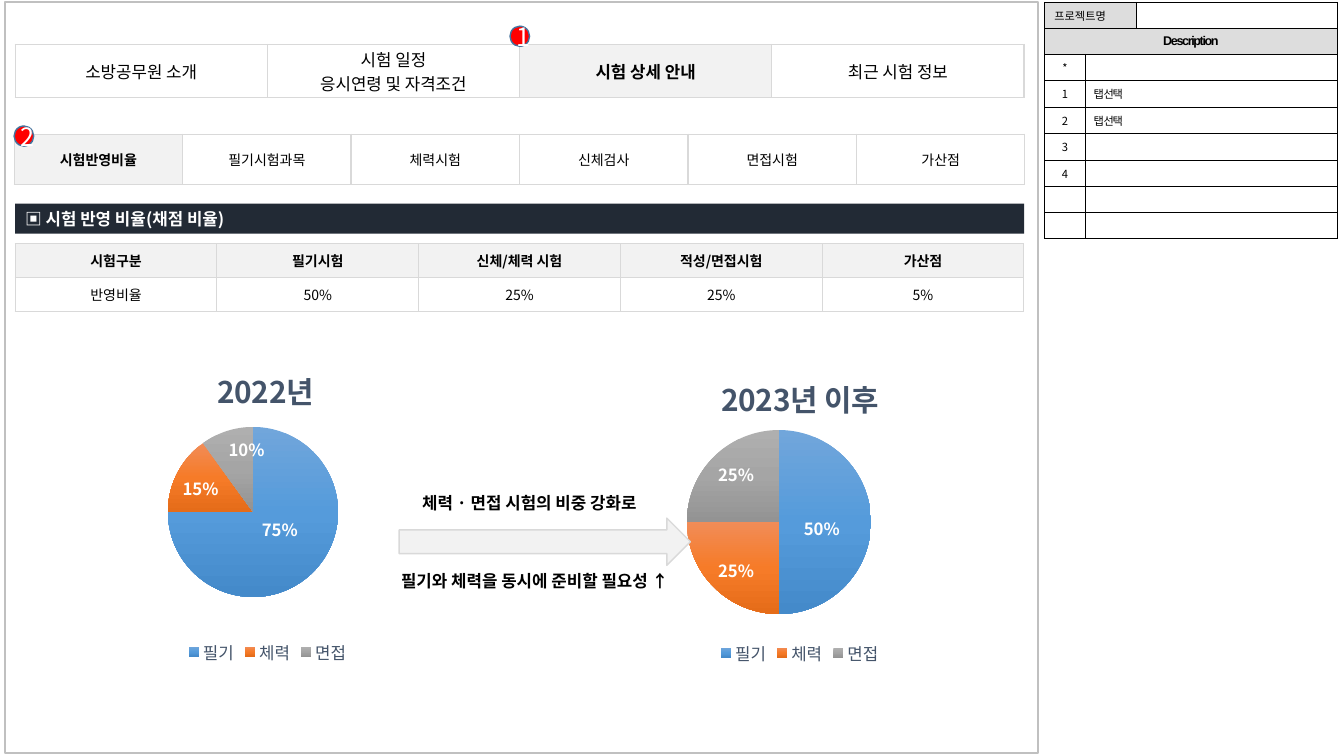
from copy import deepcopy

from lxml.etree import SubElement
from pptx import Presentation
from pptx.chart.data import CategoryChartData
from pptx.dml.color import RGBColor
from pptx.enum.chart import XL_CHART_TYPE, XL_LABEL_POSITION, XL_LEGEND_POSITION
from pptx.enum.shapes import MSO_SHAPE
from pptx.enum.text import MSO_ANCHOR, PP_ALIGN
from pptx.oxml import parse_xml
from pptx.oxml.ns import nsdecls, qn
from pptx.util import Pt

FONT = "Noto Sans CJK KR"
COLORS = {
    "black": "000000", "white": "FFFFFF", "frame": "C0C0C0", "header": "DDDDDD",
    "selected": "F2F2F2", "border": "D9D9D9", "bar": "222A35", "badge": "FF0000",
    "badge_line": "43739E", "chart_text": "44546A",
}
GRADIENTS = [
    ("71A6DB", "559BDB", "448ACA"),
    ("F18C57", "F67B28", "E56C19"),
    ("AFAFAF", "A5A5A5", "939393"),
]


def rgb(name):
    return RGBColor.from_string(COLORS[name])


def format_font(font, size, color="black", bold=False, name=FONT):
    font.size = Pt(size)
    font.bold = bold
    font.name = name
    font.color.rgb = rgb(color)


def write_text(text_frame, text, size=12, color="black", bold=False, name=FONT,
               align=PP_ALIGN.LEFT, spacing=0):
    for index, line in enumerate(text.split("\n")):
        paragraph = text_frame.add_paragraph() if index else text_frame.paragraphs[0]
        paragraph.alignment = align
        run = paragraph.add_run()
        run.text = line
        format_font(run.font, size, color, bold, name)
        properties = run.font._element
        if spacing:
            properties.set("spc", str(spacing * 100))
        SubElement(properties, qn("a:ea")).set("typeface", FONT)


def set_fill(fill, color):
    if color:
        fill.solid()
        fill.fore_color.rgb = rgb(color)
    else:
        fill.background()


def add_box(slide, kind, box, fill=None, line=None, text=None, **text_format):
    shape = slide.shapes.add_shape(kind, *map(Pt, box))
    shape.shadow.inherit = False
    set_fill(shape.fill, fill)
    set_fill(shape.line.fill, line)
    if line:
        shape.line.width = Pt(1)
    if text:
        write_text(shape.text_frame, text, **text_format)


def add_caption(slide, box, text):
    text_frame = slide.shapes.add_textbox(*map(Pt, box)).text_frame
    text_frame.word_wrap = True
    write_text(text_frame, text, bold=True)


def add_badge(slide, left, top, number):
    add_box(slide, MSO_SHAPE.OVAL, (left, top, 14, 14.4), "badge", "badge_line",
            number, size=18, color="white", align=PP_ALIGN.CENTER)


def add_grid(slide, left, top, widths, heights, border, border_width):
    frame = slide.shapes.add_table(len(heights), len(widths), Pt(left), Pt(top),
                                   Pt(sum(widths)), Pt(sum(heights)))
    table = frame.table
    table.first_row = table.horz_banding = False
    for column, width in zip(table.columns, widths):
        column.width = Pt(width)
    for row, height in zip(table.rows, heights):
        row.height = Pt(height)
    for cell in table.iter_cells():
        properties = cell._tc.get_or_add_tcPr()
        for side in ("lnL", "lnR", "lnT", "lnB"):
            properties.append(parse_xml(
                f'<a:{side} {nsdecls("a")} w="{Pt(border_width)}"><a:solidFill>'
                f'<a:srgbClr val="{COLORS[border]}"/></a:solidFill></a:{side}>'))
    return table


def fill_cell(cell, text="", fill=None, margins=(7.2, 3.6), anchor=MSO_ANCHOR.MIDDLE,
              **text_format):
    set_fill(cell.fill, fill)
    cell.margin_left = cell.margin_right = Pt(margins[0])
    cell.margin_top = cell.margin_bottom = Pt(margins[1])
    cell.vertical_anchor = anchor
    if text:
        write_text(cell.text_frame, text, **text_format)
    else:
        paragraph = cell.text_frame.paragraphs[0]._p
        SubElement(paragraph, qn("a:endParaRPr")).set("sz", "800")


def add_tabs(slide, box, labels, selected, size, margins=(7.2, 3.6)):
    left, top, width, height = box
    count = len(labels)
    table = add_grid(slide, left, top, [width / count] * count, [height], "border", 1)
    for index, label in enumerate(labels):
        active = index == selected
        fill_cell(table.cell(0, index), label, "selected" if active else None, margins,
                  size=size, bold=active, name="Arial", align=PP_ALIGN.CENTER)


def add_ratio_table(slide):
    rows = [
        ("시험구분", "필기시험", "신체/체력 시험", "적성/면접시험", "가산점"),
        ("반영비율", "50%", "25%", "25%", "5%"),
    ]
    table = add_grid(slide, 10.8, 174.2, [144.14] * 5, [24.2] * 2, "border", 1)
    for row, values in enumerate(rows):
        for column, value in enumerate(values):
            fill_cell(table.cell(row, column), value, None if row else "selected",
                      size=10, bold=row == 0, align=PP_ALIGN.CENTER)


def add_description_table(slide):
    table = add_grid(slide, 745.9, 1.4, [29.5, 36, 144], [18.4] * 9, "black", 0.25)
    table.cell(0, 0).merge(table.cell(0, 1))
    table.cell(1, 0).merge(table.cell(1, 2))
    fill_cell(table.cell(0, 0), "프로젝트명", "header", size=8)
    fill_cell(table.cell(0, 2), fill="white")
    fill_cell(table.cell(1, 0), "Description", "header", size=9, bold=True, name="Arial",
              align=PP_ALIGN.CENTER, spacing=-1)
    entries = [("*", ""), ("1", "탭 선택"), ("2", "탭 선택"), ("3", ""), ("4", ""),
               ("", ""), ("", "")]
    for row, (number, description) in enumerate(entries, start=2):
        table.cell(row, 1).merge(table.cell(row, 2))
        fill_cell(table.cell(row, 0), number, "white", (2.9, 3.6), size=8,
                  align=PP_ALIGN.CENTER)
        fill_cell(table.cell(row, 1), description, "white", (5.8, 3.6), MSO_ANCHOR.TOP,
                  size=8, name="Arial", spacing=-1)


def set_layout(parent, index, **values):
    for old in parent.findall(qn("c:layout")):
        parent.remove(old)
    items = "".join(f'<c:{key} val="{value}"/>' for key, value in values.items())
    parent.insert(index, parse_xml(
        f'<c:layout {nsdecls("c")}><c:manualLayout>{items}</c:manualLayout></c:layout>'))


def set_gradient(fill, colors):
    fill.gradient()
    fill.gradient_angle = 270
    last = fill.gradient_stops[1]._gs
    last.addprevious(deepcopy(last))
    for stop, color, position in zip(fill.gradient_stops, colors, (0, 0.5, 1)):
        stop.color.rgb = RGBColor.from_string(color)
        stop.position = position


def add_pie(slide, box, title, values, title_at, pie_at, label_shift):
    data = CategoryChartData()
    data.categories = ["필기", "체력", "면접"]
    data.add_series(title, values)
    chart = slide.shapes.add_chart(XL_CHART_TYPE.PIE, *map(Pt, box), data).chart
    format_font(chart.font, 10)
    chart.has_title = True
    write_text(chart.chart_title.text_frame, title, size=21.3, color="chart_text",
               bold=True, align=PP_ALIGN.CENTER)
    chart.chart_title.include_in_layout = False
    set_layout(chart.chart_title._element, 1, xMode="edge", yMode="edge",
               x=title_at[0], y=title_at[1])
    left, top, size = pie_at
    set_layout(chart._chartSpace.chart.plotArea, 0, layoutTarget="inner",
               xMode="edge", yMode="edge",
               x=round((left - box[0]) / box[2], 4), y=round((top - box[1]) / box[3], 4),
               w=round(size / box[2], 4), h=round(size / box[3], 4))
    chart.has_legend = True
    chart.legend.position = XL_LEGEND_POSITION.BOTTOM
    chart.legend.include_in_layout = False
    format_font(chart.legend.font, 12, "chart_text")

    plot = chart.plots[0]
    plot.vary_by_categories = True
    series = plot.series[0]
    for index, colors in enumerate(GRADIENTS):
        set_gradient(series.points[index].format.fill, colors)
    labels = series.data_labels
    labels.show_value = False
    labels.show_percentage = True
    first_label = series.points[0].data_label
    for label in (labels, first_label):
        label.position = XL_LABEL_POSITION.INSIDE_END
        format_font(label.font, 12, "white", True)
    element = first_label._get_or_add_dLbl()
    element.find(qn("c:showVal")).set("val", "0")
    element.find(qn("c:showPercent")).set("val", "1")
    set_layout(element, 1, x=label_shift[0], y=label_shift[1])


def main():
    presentation = Presentation()
    presentation.slide_width, presentation.slide_height = Pt(960), Pt(540)
    slide = presentation.slides.add_slide(presentation.slide_layouts[6])
    add_box(slide, MSO_SHAPE.RECTANGLE, (3.6, 1.4, 738, 536.4), line="frame")
    add_description_table(slide)
    add_tabs(slide, (10.1, 95.8, 722, 36),
             ["시험반영비율", "필기시험과목", "체력시험", "신체검사", "면접시험", "가산점"], 0, 10)
    add_box(slide, MSO_SHAPE.RECTANGLE, (10.8, 145.4, 720.7, 21.6), "bar",
            text="▣ 시험 반영 비율(채점 비율)", color="white", bold=True)
    add_ratio_table(slide)
    add_pie(slide, (58.3, 243.4, 265.7, 234), "2022년", (75, 15, 10),
            (0.35, 0.06), (120, 305, 121.5), (-0.03, -0.08))
    add_pie(slide, (421.2, 252, 300.2, 226.1), "2023년 이후", (50, 25, 25),
            (0.3, 0.05), (490.7, 307.2, 131.5), (-0.06, 0.02))
    add_box(slide, MSO_SHAPE.RIGHT_ARROW, (285.1, 370.1, 208.1, 33.8), "selected", "border")
    add_caption(slide, (294.5, 348.5, 188.6, 21.6), "체력 · 면접 시험의 비중 강화로")
    add_caption(slide, (279.4, 403.9, 213.8, 21.6), "필기와 체력을 동시에 준비할 필요성 ↑")
    add_badge(slide, 10.1, 90, "2")
    add_tabs(slide, (10.8, 31.7, 720.7, 38.2),
             ["소방공무원 소개", "시험 일정\n응시연령 및 자격조건", "시험 상세 안내", "최근 시험 정보"],
             2, 12, (7.2, 1))
    add_badge(slide, 364.3, 18.7, "1")
    presentation.save("out.pptx")


if __name__ == "__main__":
    main()
